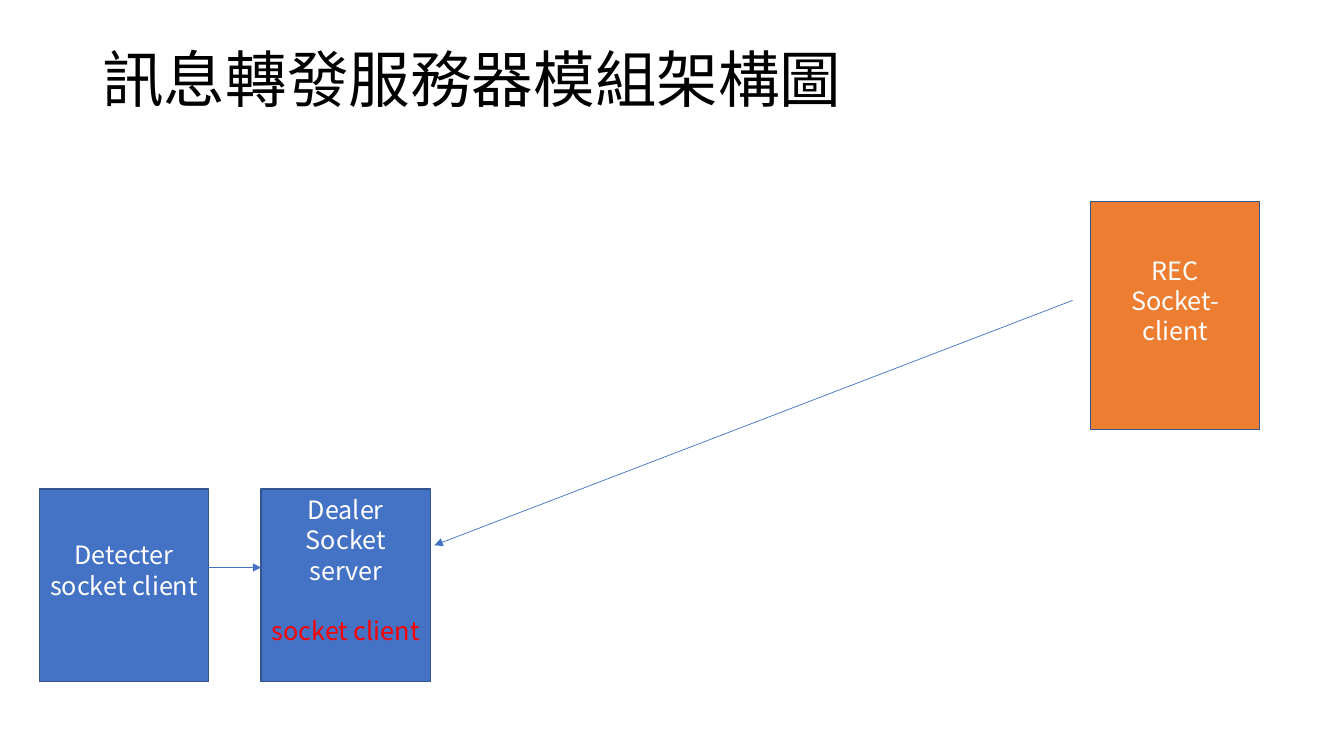
from dataclasses import dataclass

from lxml import etree
from pptx import Presentation
from pptx.dml.color import RGBColor
from pptx.enum import shapes, text
from pptx.oxml import ns
from pptx.util import Cm, Pt


@dataclass(frozen=True)
class Theme:
    font: str = "Noto Sans CJK SC"
    title_size: float = 44
    title_spacing: float = 47.5
    label_size: float = 18
    label_spacing: float = 21.6
    black: str = "000000"
    white: str = "FFFFFF"
    red: str = "FF0000"
    blue: str = "4472C4"
    orange: str = "ED7D31"
    outline: str = "325491"


THEME = Theme()
BOX_WIDTH = 4.27
SERVER_ROW_TOP, SERVER_ROW_HEIGHT = 12.32, 4.85


def style_paragraph(paragraph, size, spacing, color):
    paragraph.line_spacing = Pt(spacing)
    font = paragraph.font
    font.name = THEME.font
    font.size = Pt(size)
    font.color.rgb = RGBColor.from_string(color)
    # East Asian glyphs take their typeface from a separate element
    properties = paragraph._p.pPr.find(ns.qn("a:defRPr"))
    etree.SubElement(properties, ns.qn("a:ea"), typeface=THEME.font)


def add_title(slide, title):
    shape = slide.shapes.add_textbox(Cm(2.33), Cm(1.01), Cm(29.21), Cm(3.68))
    frame = shape.text_frame
    frame.word_wrap = True
    frame.margin_top = Cm(0.2)
    paragraph = frame.paragraphs[0]
    paragraph.text = title
    style_paragraph(paragraph, THEME.title_size, THEME.title_spacing, THEME.black)


def add_module(slide, left, top, height, fill, lines, client_role=None):
    shape = slide.shapes.add_shape(
        shapes.MSO_SHAPE.RECTANGLE, Cm(left), Cm(top), Cm(BOX_WIDTH), Cm(height))
    shape.shadow.inherit = False
    shape.fill.solid()
    shape.fill.fore_color.rgb = RGBColor.from_string(fill)
    shape.line.color.rgb = RGBColor.from_string(THEME.outline)
    shape.line.width = Pt(1)

    # The deep bottom margin lifts the label above the centre
    frame = shape.text_frame
    frame.word_wrap = True
    frame.vertical_anchor = text.MSO_ANCHOR.MIDDLE
    frame.margin_left = frame.margin_right = Cm(0.25)
    frame.margin_bottom = Cm(0.89)
    frame.text = "\n".join(lines)
    for paragraph in frame.paragraphs:
        paragraph.alignment = text.PP_ALIGN.CENTER
        style_paragraph(paragraph, THEME.label_size, THEME.label_spacing, THEME.white)

    # A second role stands apart in red
    if client_role:
        paragraph = frame.add_paragraph()
        paragraph.text = client_role
        paragraph.alignment = text.PP_ALIGN.CENTER
        paragraph.space_before = Pt(THEME.label_spacing)
        style_paragraph(paragraph, THEME.label_size, THEME.label_spacing, THEME.red)


def add_arrow(slide, start, end):
    connector = slide.shapes.add_connector(
        shapes.MSO_CONNECTOR.STRAIGHT, *map(Cm, start + end))
    connector.line.color.rgb = RGBColor.from_string(THEME.blue)
    connector.line.width = Pt(0.5)
    etree.SubElement(connector.line._get_or_add_ln(), ns.qn("a:tailEnd"), type="triangle")
    etree.SubElement(connector._element.spPr, ns.qn("a:effectLst"))


def main():
    presentation = Presentation()
    presentation.slide_width, presentation.slide_height = Cm(33.87), Cm(19.05)
    slide = presentation.slides.add_slide(presentation.slide_layouts[6])

    add_title(slide, "訊息轉發服務器模組架構圖")

    # Modules
    add_module(slide, 27.48, 5.08, 5.74, THEME.orange, ["REC", "Socket-client"])
    add_module(slide, 6.58, SERVER_ROW_TOP, SERVER_ROW_HEIGHT, THEME.blue,
               ["Dealer", "Socket server"], client_role="socket client")
    add_module(slide, 0.99, SERVER_ROW_TOP, SERVER_ROW_HEIGHT, THEME.blue,
               ["Detecter", "socket client"])

    # Connections into the dealer
    add_arrow(slide, (27.03, 7.57), (10.95, 13.74))
    add_arrow(slide, (4.04, 14.3), (6.58, 14.3))

    presentation.save("out.pptx")


if __name__ == "__main__":
    main()
